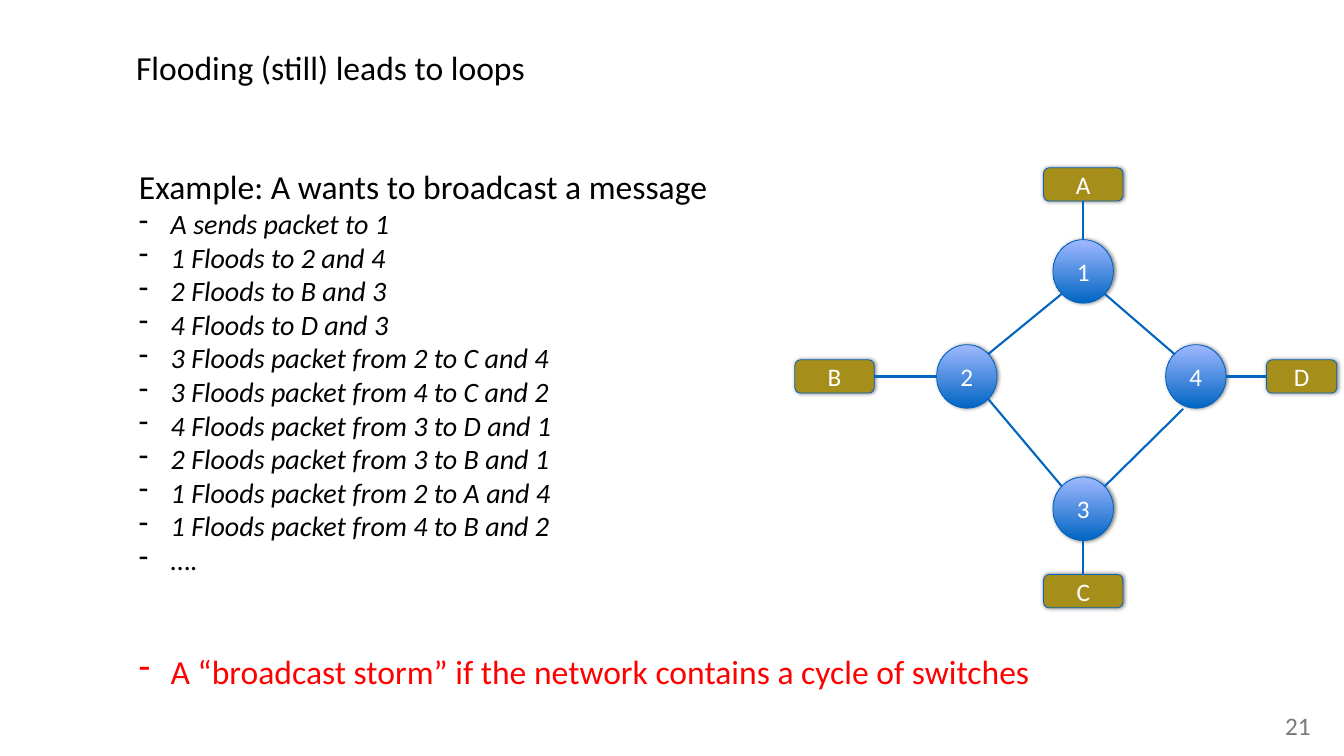
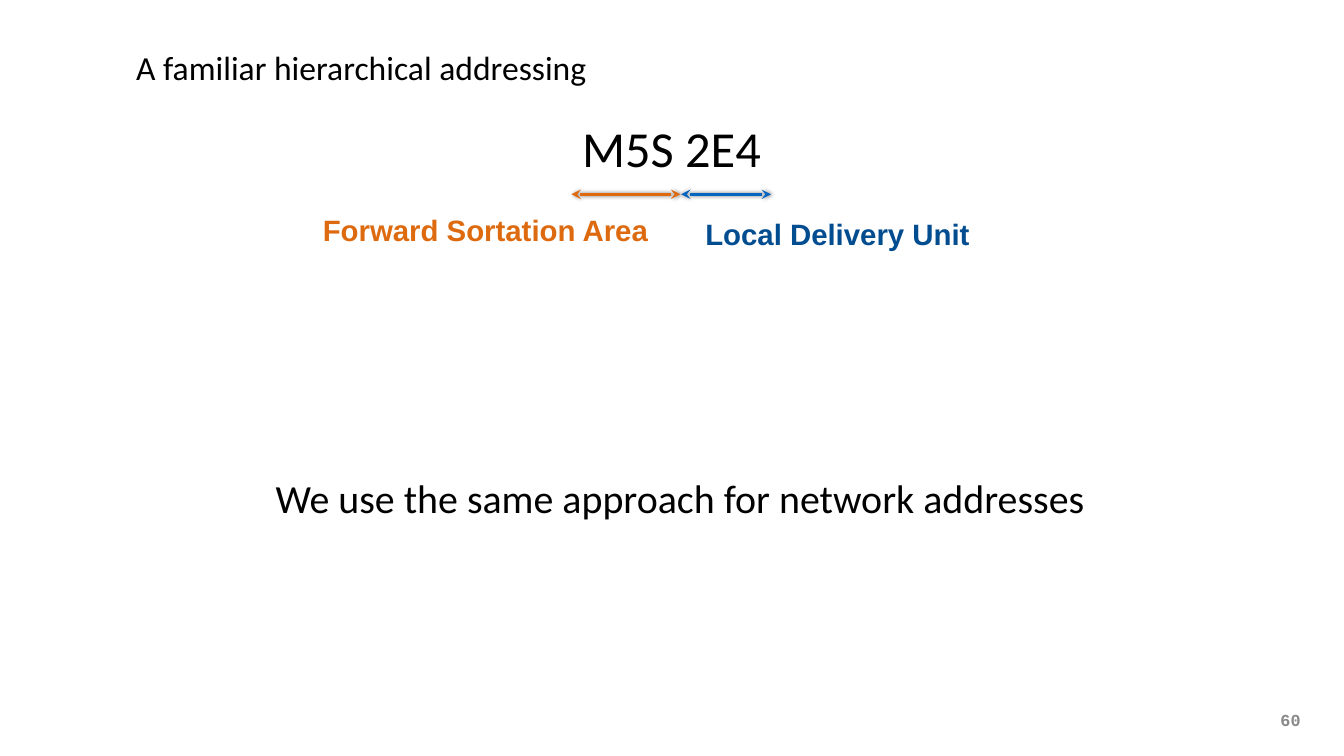
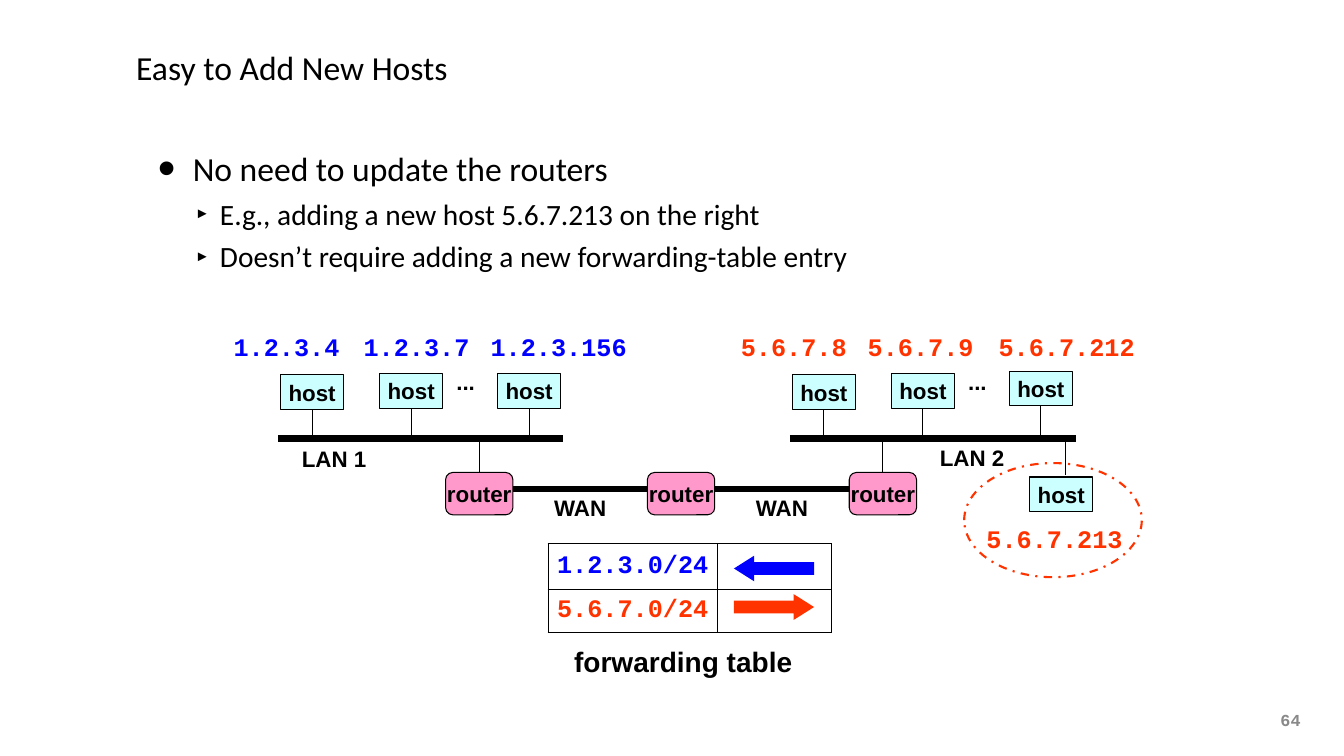
"""Build three networking lecture slides: flooding loops, address hierarchy, adding hosts."""
from lxml import etree
from pptx import Presentation
from pptx.dml.color import RGBColor
from pptx.enum.dml import MSO_LINE
from pptx.enum.shapes import MSO_CONNECTOR, MSO_SHAPE
from pptx.enum.text import MSO_ANCHOR, MSO_AUTO_SIZE, PP_ALIGN
from pptx.oxml.ns import qn
from pptx.util import Inches, Pt

LEFT, CENTER = PP_ALIGN.LEFT, PP_ALIGN.CENTER
MIDDLE, TOP = MSO_ANCHOR.MIDDLE, MSO_ANCHOR.TOP
RECT, ROUND, OVAL = MSO_SHAPE.RECTANGLE, MSO_SHAPE.ROUNDED_RECTANGLE, MSO_SHAPE.OVAL
LEFT_ARROW, RIGHT_ARROW = MSO_SHAPE.LEFT_ARROW, MSO_SHAPE.RIGHT_ARROW
STRAIGHT = MSO_CONNECTOR.STRAIGHT

BLACK = RGBColor(0x00, 0x00, 0x00)
WHITE = RGBColor(0xFF, 0xFF, 0xFF)
RED = RGBColor(0xFF, 0x00, 0x00)
GREY = RGBColor(0x7A, 0x7A, 0x7A)
PALE_GREY = RGBColor(0x89, 0x89, 0x89)
SWITCH_DARK = RGBColor(0x00, 0x65, 0xC3)
SWITCH_LIGHT = RGBColor(0xA0, 0xB8, 0xFF)
OUTLINE = RGBColor(0x00, 0x63, 0xBF)
LINK = RGBColor(0x03, 0x65, 0xC0)
OLIVE = RGBColor(0xA5, 0x8E, 0x1A)
ORANGE = RGBColor(0xDE, 0x6A, 0x10)
NAVY = RGBColor(0x02, 0x4C, 0x90)
CYAN = RGBColor(0xCC, 0xFF, 0xFF)
PINK = RGBColor(0xFF, 0x99, 0xCC)
BLUE = RGBColor(0x00, 0x00, 0xFF)
VERMILION = RGBColor(0xFF, 0x33, 0x00)

SANS, ARIAL, MONO = "Calibri", "Arial", "Courier New"
MARGIN, CONTENT_WIDTH = 1.74, 14.31

FLOOD_HEADING = "Example: A wants to broadcast a message"
FLOOD_STEPS = [
    "A sends packet to 1", "1 Floods to 2 and 4", "2 Floods to B and 3",
    "4 Floods to D and 3", "3 Floods packet from 2 to C and 4",
    "3 Floods packet from 4 to C and 2", "4 Floods packet from 3 to D and 1",
    "2 Floods packet from 3 to B and 1", "1 Floods packet from 2 to A and 4",
    "1 Floods packet from 4 to B and 2", "….",
]
FLOOD_RESULT = "A “broadcast storm” if the network contains a cycle of switches"

# name: centre x, centre y, width, height
SWITCHES = {
    "1": (14.33, 3.59, 0.8, 0.84), "2": (12.79, 4.98, 0.8, 0.84),
    "4": (15.82, 4.98, 0.8, 0.84), "3": (14.33, 6.73, 0.8, 0.84),
}
STATIONS = {
    "B": (11.04, 4.98, 1.05, 0.44), "A": (14.33, 2.44, 1.05, 0.44),
    "C": (14.33, 7.82, 1.05, 0.44), "D": (17.22, 4.98, 0.93, 0.44),
}
# each end: node name and offset from its centre as shares of its size
LINKS = [
    (("1", -0.35, 0.35), ("2", 0.35, -0.35)),
    (("2", 0.35, 0.35), ("3", -0.35, -0.35)),
    (("3", 0.35, -0.35), ("4", -0.21, 0.51)),
    (("4", -0.35, -0.35), ("1", 0.35, 0.35)),
    (("A", 0, 0.5), ("1", 0, -0.5)), (("D", -0.5, 0), ("4", 0.5, 0)),
    (("C", 0, -0.5), ("3", 0, 0.5)), (("B", 0.5, 0), ("2", -0.5, 0)),
]

CODE_PARTS = [
    ("Forward Sortation Area", 4.14, 2.74, ORANGE, ORANGE, 9, 7.56),
    ("Local Delivery Unit", 9.2, 2.79, NAVY, LINK, 9.01, 10.2),
]

HOST_POINTS = [
    (0, "No need to update the routers"),
    (1, "E.g., adding a new host 5.6.7.213 on the right"),
    (1, "Doesn’t require adding a new forwarding-table entry"),
]
# level: text size, left margin, indent, bullet, bullet percent
POINT_STYLES = [(32, 0.81, -0.46, "•", 150), (28, 1.17, -0.33, "►", 50)]
# name, bar start, bar end, name centre, colour, hosts as (address, address centre, host top)
LANS = [
    ("LAN 1", 3.68, 7.45, (4.42, 6.07), BLUE,
     [("1.2.3.4", 3.79, 4.96), ("1.2.3.7", 5.51, 4.94), ("1.2.3.156", 7.39, 4.94)]),
    ("LAN 2", 10.45, 14.23, (12.86, 6.05), VERMILION,
     [("5.6.7.8", 10.5, 4.96), ("5.6.7.9", 12.18, 4.94), ("5.6.7.212", 14.11, 4.91)]),
]
HOST_OFFSETS = (0.45, 1.76, 3.32)
HOST_SIZE, ROUTER_SIZE = (0.83, 0.46), (0.89, 0.56)
LAN_Y, WAN_Y, ROUTER_Y = 5.8, 6.47, 6.53
ROUTER_CENTERS = [6.34 + 2.67 * column for column in range(3)]
ROUTES = [("1.2.3.0/24", BLUE, LEFT_ARROW, 7.35), ("5.6.7.0/24", VERMILION, RIGHT_ARROW, 7.86)]
TABLE_COLUMNS, TABLE_ROWS = (2.24, 1.51), (0.61, 0.57)


def inches(*values):
    return [Inches(value) for value in values]


def write(para, text, size, color=BLACK, font=SANS, bold=False, italic=False, align=LEFT):
    para.add_run().text = text
    para.alignment = align
    style = para.font
    style.size, style.name, style.bold, style.italic = Pt(size), font, bold, italic
    style.color.rgb = color


def add_bullet(para, char, margin, indent, percent=100):
    props = para._p.get_or_add_pPr()
    props.set("marL", str(Inches(margin)))
    props.set("indent", str(Inches(indent)))
    etree.SubElement(props, qn("a:buSzPct")).set("val", str(percent * 1000))
    etree.SubElement(props, qn("a:buChar")).set("char", char)


def set_frame(frame, insets=(0.1, 0.05), anchor=TOP, wrap=True):
    frame.auto_size = MSO_AUTO_SIZE.NONE
    frame.word_wrap, frame.vertical_anchor = wrap, anchor
    frame.margin_left = frame.margin_right = Inches(insets[0])
    frame.margin_top = frame.margin_bottom = Inches(insets[1])
    return frame.paragraphs[0]


def add_text(page, at, text, size, insets=(0.1, 0.05), anchor=TOP, wrap=True, **style):
    box = page.shapes.add_textbox(*inches(*at))
    write(set_frame(box.text_frame, insets, anchor, wrap), text, size, **style)


def add_label(page, center, text, size=21.3, font=ARIAL, color=BLACK):
    width, height = 2, 0.5
    at = (center[0] - width / 2, center[1] - height / 2, width, height)
    add_text(page, at, text, size, anchor=MIDDLE, wrap=False,
             font=font, color=color, bold=True, align=CENTER)


def add_shadow(effects):
    shadow = etree.SubElement(effects, qn("a:outerShdw"), blurRad=str(Pt(4)),
                              dist=str(Pt(1)), dir="0", rotWithShape="0")
    color = etree.SubElement(shadow, qn("a:srgbClr"), val="000000")
    etree.SubElement(color, qn("a:alpha"), val="50000")


def add_node(shapes, kind, center, size, fill=None, line=BLACK, line_width=1, shadow=False):
    (x, y), (width, height) = center, size
    node = shapes.add_shape(kind, *inches(x - width / 2, y - height / 2, width, height))
    node.shadow.inherit = False
    if fill:
        node.fill.solid()
        node.fill.fore_color.rgb = fill
    else:
        node.fill.background()
    if line:
        node.line.color.rgb, node.line.width = line, Pt(line_width)
    else:
        node.line.fill.background()
    if shadow:
        add_shadow(node._element.spPr.find(qn("a:effectLst")))
    return node


def add_named_node(shapes, kind, center, size, text, text_size=21.3, font=ARIAL,
                   color=BLACK, bold=True, **look):
    node = add_node(shapes, kind, center, size, **look)
    para = set_frame(node.text_frame, anchor=MIDDLE, wrap=False)
    write(para, text, text_size, color, font, bold, align=CENTER)
    return node


def add_line(shapes, start, end, color=BLACK, width=1, arrows=False):
    line = shapes.add_connector(STRAIGHT, *inches(*start, *end))
    line.line.color.rgb, line.line.width = color, Pt(width)
    props = line._element.spPr
    effects = etree.SubElement(props, qn("a:effectLst"))
    if arrows:
        add_shadow(effects)
        for tip in ("a:headEnd", "a:tailEnd"):
            etree.SubElement(props.find(qn("a:ln")), qn(tip), type="stealth")


def add_page(deck, layout, title, number, number_style):
    page = deck.slides.add_slide(deck.slide_layouts[layout])
    holder = page.shapes.title
    holder.left, holder.top, holder.width, holder.height = inches(MARGIN, 0, CONTENT_WIDTH, 1.78)
    write(set_frame(holder.text_frame, (0.06, 0.06), MIDDLE), title, 32)
    add_text(page, (16.94, 9.39, 0.46, 0.5), number, insets=(0, 0), **number_style)
    return page


def build_flooding(deck):
    page = add_page(deck, 5, "Flooding (still) leads to loops", "21",
                    dict(size=24, color=GREY, align=CENTER))
    shapes = page.shapes.add_group_shape().shapes
    for name, (x, y, *size) in SWITCHES.items():
        node = add_named_node(shapes, OVAL, (x, y), size, name, 24, SANS, WHITE, False,
                              line=OUTLINE, line_width=0.75, shadow=True)
        node.fill.gradient()
        node.fill.gradient_angle = 90
        for stop, color, place in zip(node.fill.gradient_stops, (SWITCH_DARK, SWITCH_LIGHT), (0, 1)):
            stop.color.rgb, stop.position = color, place
    for name, (x, y, *size) in STATIONS.items():
        add_named_node(shapes, ROUND, (x, y), size, name, 24, SANS, WHITE, False,
                       fill=OLIVE, line=OUTLINE, line_width=0.75, shadow=True)
    nodes = {**SWITCHES, **STATIONS}
    for link in LINKS:
        ends = []
        for name, across, down in link:
            x, y, width, height = nodes[name]
            ends.append((x + across * width, y + down * height))
        add_line(shapes, *ends, LINK, 2)

    frame = page.shapes.add_textbox(*inches(MARGIN, 2.15, 12.78, 7.64)).text_frame
    write(set_frame(frame), FLOOD_HEADING, 32)
    for step in FLOOD_STEPS:
        para = frame.add_paragraph()
        para.line_spacing = Pt(32)
        add_bullet(para, "-", 0.42, -0.42)
        write(para, step, 26.7, italic=step != FLOOD_STEPS[-1])
    para = frame.add_paragraph()
    para.space_before = Pt(71)
    add_bullet(para, "-", 0.42, -0.42)
    write(para, FLOOD_RESULT, 32, RED)


def build_addressing(deck, number_style):
    page = add_page(deck, 5, "A familiar hierarchical addressing", "60", number_style)
    add_text(page, (6.33, 1.5, 5.11, 0.91), "M5S 2E4", 48, align=CENTER)
    for text, left, top, color, arrow_color, start, end in CODE_PARTS:
        add_text(page, (left, top, 5.11, 0.61), text, 28, (0.13, 0.07),
                 color=color, font=ARIAL, bold=True)
        add_line(page.shapes, (start, 2.57), (end, 2.57), arrow_color, 3, arrows=True)
    add_text(page, (3.51, 6.21, 10.98, 0.75), "We use the same approach for network addresses",
             38, (0.06, 0.06), MIDDLE, False, align=CENTER)


def add_host(page, x, top):
    add_named_node(page.shapes, RECT, (x, top + HOST_SIZE[1] / 2), HOST_SIZE, "host", fill=CYAN)


def add_forwarding_table(page):
    table = page.shapes.add_table(2, 2, *inches(7.25, 7.19, sum(TABLE_COLUMNS), sum(TABLE_ROWS))).table
    table.first_row = table.horz_banding = False
    for column, width in zip(table.columns, TABLE_COLUMNS):
        column.width = Inches(width)
    for row, height in zip(table.rows, TABLE_ROWS):
        row.height = Inches(height)
    for cell in table.iter_cells():
        cell.fill.background()
        cell.vertical_anchor = MIDDLE
        cell.margin_left = cell.margin_right = cell.margin_top = cell.margin_bottom = 0
        props = cell._tc.get_or_add_tcPr()
        for index, side in enumerate(("a:lnL", "a:lnR", "a:lnT", "a:lnB")):
            border = etree.Element(qn(side), w=str(Pt(0.75)))
            fill = etree.SubElement(border, qn("a:solidFill"))
            etree.SubElement(fill, qn("a:srgbClr"), val=str(BLACK))
            props.insert(index, border)
    for row, (prefix, color, kind, top) in enumerate(ROUTES):
        write(table.cell(row, 0).text_frame.paragraphs[0], prefix, 24, color, MONO, True, align=CENTER)
        arrow = add_node(page.shapes, kind, (10.24, top + 0.17), (1.06, 0.34), color, None)
        arrow.adjustments[1] = 0.79
    add_label(page, (9.04, 8.75), "forwarding table", 26.7)


def build_hosts(deck, number_style):
    page = add_page(deck, 1, "Easy to Add New Hosts", "64", number_style)
    body = page.placeholders[1]
    body.left, body.top, body.width, body.height = inches(MARGIN, 1.78, CONTENT_WIDTH, 2.02)
    para = set_frame(body.text_frame, (0, 0), MIDDLE)
    for index, (level, text) in enumerate(HOST_POINTS):
        if index:
            para = body.text_frame.add_paragraph()
        size, margin, indent, char, percent = POINT_STYLES[level]
        para.level, para.space_before = level, Pt(7)
        add_bullet(para, char, margin, indent, percent)
        write(para, text, size)

    shapes = page.shapes
    for name, start, end, name_center, color, hosts in LANS:
        add_line(shapes, (start, LAN_Y), (end, LAN_Y), width=6)
        for offset, (address, address_x, top) in zip(HOST_OFFSETS, hosts):
            x = start + offset
            add_line(shapes, (x, 5.36), (x, LAN_Y))
            add_host(page, x, top)
            add_label(page, (address_x, 4.58), address, 24, MONO, color)
        add_label(page, name_center, name)
        add_label(page, (start + 2.48, 5.05), "...")

    for x in ROUTER_CENTERS:
        add_named_node(shapes, ROUND, (x, ROUTER_Y), ROUTER_SIZE, "router", fill=PINK)
    for x in (ROUTER_CENTERS[0], ROUTER_CENTERS[-1]):
        add_line(shapes, (x, LAN_Y), (x, 6.25))
    half = ROUTER_SIZE[0] / 2
    for near, far in zip(ROUTER_CENTERS, ROUTER_CENTERS[1:]):
        add_line(shapes, (near + half, WAN_Y), (far - half, WAN_Y), width=6)
        add_label(page, ((near + far) / 2, 6.71), "WAN")

    add_forwarding_table(page)
    add_line(shapes, (14.1, 5.84), (14.1, 6.28))
    add_host(page, 14.04, 6.31)
    add_label(page, (13.95, 7.12), "5.6.7.213", 24, MONO, VERMILION)
    ring = add_node(shapes, OVAL, (13.93, 6.88), (2.35, 1.51), line=VERMILION, line_width=2)
    ring.line.dash_style = MSO_LINE.DASH_DOT


def main():
    deck = Presentation()
    deck.slide_width, deck.slide_height = inches(17.78, 10)
    small_number = dict(size=16, color=PALE_GREY, font=MONO, bold=True)
    build_flooding(deck)
    build_addressing(deck, small_number)
    build_hosts(deck, small_number)
    deck.save("out.pptx")


if __name__ == "__main__":
    main()
